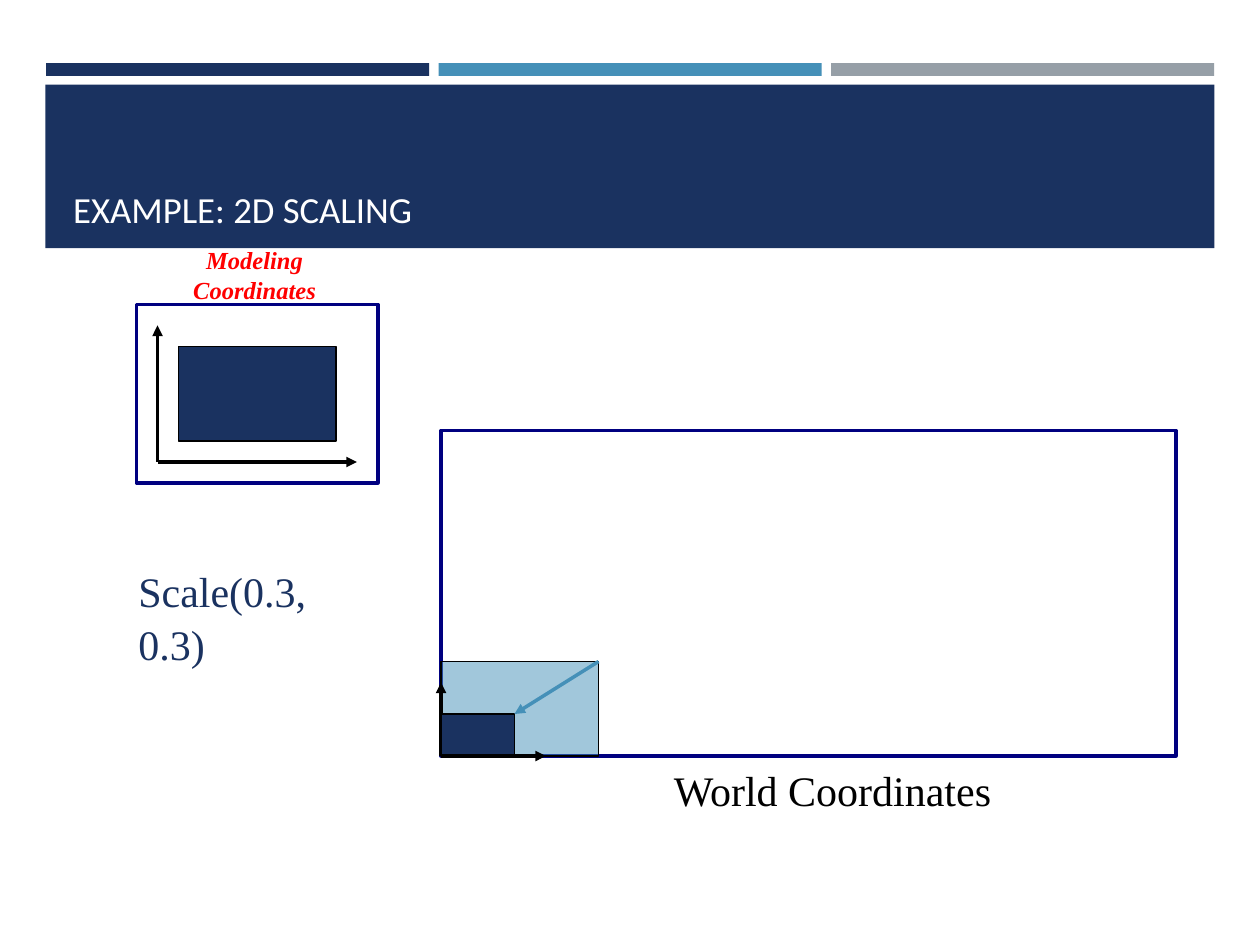
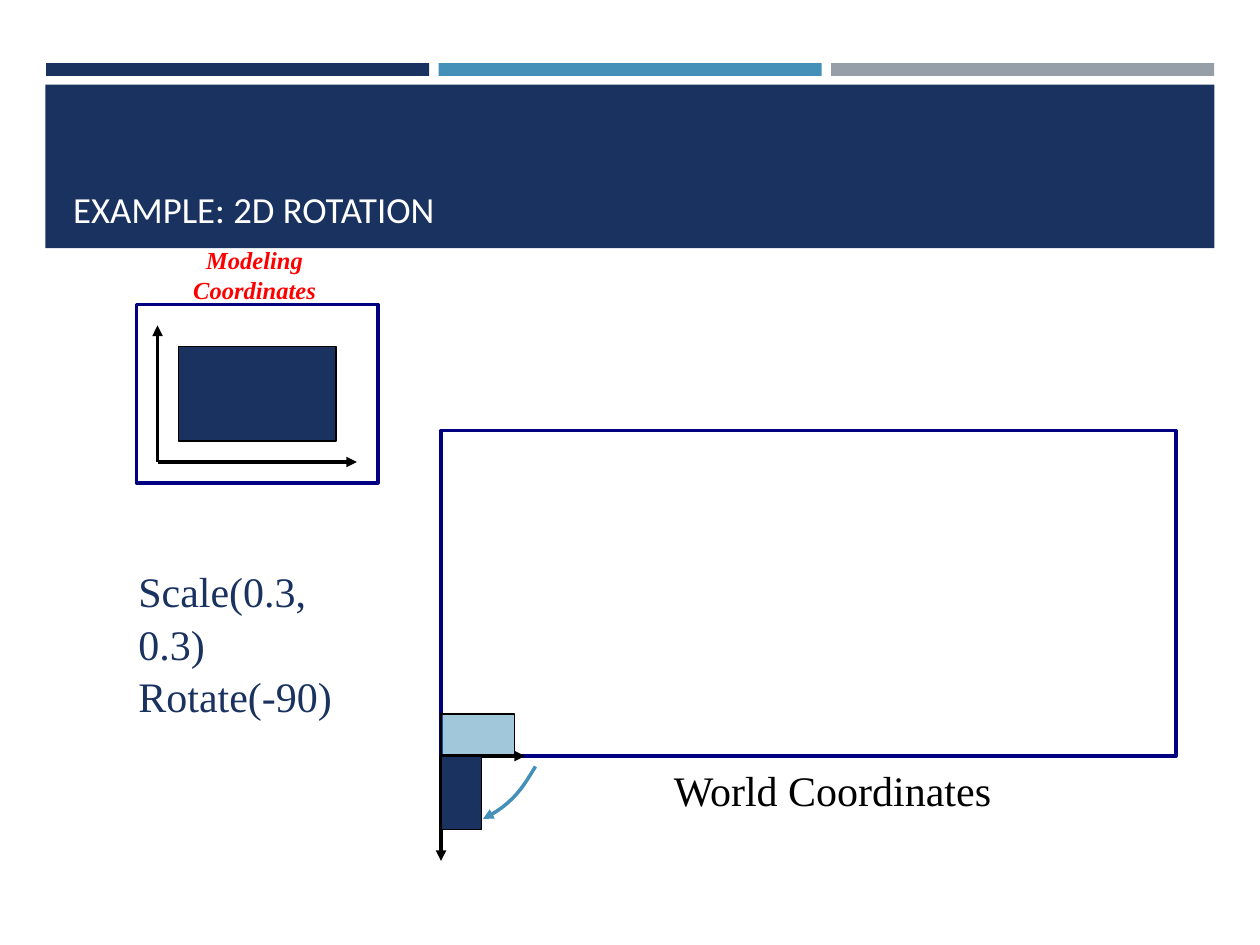
from lxml import etree
from pptx import Presentation
from pptx.dml.color import RGBColor
from pptx.enum.shapes import MSO_CONNECTOR, MSO_SHAPE
from pptx.enum.text import MSO_ANCHOR, MSO_AUTO_SIZE, PP_ALIGN
from pptx.oxml.ns import qn
from pptx.util import Pt

RECT = MSO_SHAPE.RECTANGLE
STRAIGHT = MSO_CONNECTOR.STRAIGHT
LEFT, CENTER = PP_ALIGN.LEFT, PP_ALIGN.CENTER
BOTTOM = MSO_ANCHOR.BOTTOM
NO_FIT = MSO_AUTO_SIZE.NONE

NAVY = RGBColor(0x1A, 0x32, 0x60)
BLUE = RGBColor(0x45, 0x90, 0xB8)
GRAY = RGBColor(0x96, 0x9F, 0xA7)
FRAME = RGBColor(0x00, 0x00, 0x80)
RED = RGBColor(0xFF, 0x00, 0x00)
BLACK = RGBColor(0x00, 0x00, 0x00)
WHITE = RGBColor(0xFF, 0xFF, 0xFF)

SANS, SERIF = "Calibri", "Times New Roman"
THIN, THICK = 0.75, 2
ZERO = (252, 432)
SMALL = (42, 23)


class Deck:
    def __init__(self):
        self.file = Presentation()
        self.file.slide_width, self.file.slide_height = Pt(720), Pt(540)
        self.slide = None

    def start(self, title):
        self.slide = self.file.slides.add_slide(self.file.slide_layouts[5])
        for i, color in enumerate((NAVY, BLUE, GRAY)):
            self.rect(26.4 + i * 224.3, 36, 218.9, 7.4, color)
        self.rect(26, 48.4, 668, 93.4, NAVY)
        head = self.slide.shapes.title
        head.element.getparent().append(head.element)
        head.left, head.top, head.width, head.height = map(Pt, (34.6, 55.4, 651.6, 80))
        frame = head.text_frame
        frame.text = title
        frame.auto_size = NO_FIT
        frame.vertical_anchor = BOTTOM
        self.style(frame, SANS, 21, WHITE, LEFT)

    def style(self, frame, face, size, color, align, strong=False):
        for para in frame.paragraphs:
            para.alignment = align
            for run in para.runs:
                font = run.font
                font.name, font.size = face, Pt(size)
                font.color.rgb = color
                font.bold = font.italic = strong

    def rect(self, x, y, w, h, fill=None, edge=None, width=THIN, alpha=None, turn=0):
        shape = self.slide.shapes.add_shape(RECT, Pt(x), Pt(y), Pt(w), Pt(h))
        shape.shadow.inherit = False
        shape.rotation = turn
        if fill is None:
            shape.fill.background()
        else:
            shape.fill.solid()
            shape.fill.fore_color.rgb = fill
        if alpha:
            tint = shape.element.spPr.find(qn("a:solidFill"))[0]
            etree.SubElement(tint, qn("a:alpha"), val=str(alpha * 1000))
        if edge is None:
            shape.line.fill.background()
        else:
            shape.line.color.rgb = edge
            shape.line.width = Pt(width)

    def tip(self, shape, color):
        shape.line.color.rgb = color
        shape.line.width = Pt(THICK)
        props = shape.element.spPr
        etree.SubElement(props.find(qn("a:ln")), qn("a:tailEnd"), type="triangle")

    def arrow(self, start, end, color=BLACK):
        line = self.slide.shapes.add_connector(STRAIGHT, *map(Pt, start + end))
        self.tip(line, color)
        etree.SubElement(line.element.spPr, qn("a:effectLst"))

    def curve(self, knots, color, steps=12):
        dots = []
        for i in range(steps + 1):
            t = i / steps
            parts = ((1 - t) ** 3, 3 * t * (1 - t) ** 2, 3 * t * t * (1 - t), t ** 3)
            dots.append(tuple(Pt(sum(p * k[axis] for p, k in zip(parts, knots)))
                              for axis in (0, 1)))
        path = self.slide.shapes.build_freeform(*dots[0])
        path.add_line_segments(dots[1:], close=False)
        shape = path.convert_to_shape()
        shape.shadow.inherit = False
        shape.fill.background()
        self.tip(shape, color)

    def text(self, words, x, y, w, h, size=24, color=BLACK, align=LEFT, strong=False):
        box = self.slide.shapes.add_textbox(Pt(x), Pt(y), Pt(w), Pt(h))
        frame = box.text_frame
        frame.word_wrap = False
        frame.text = words
        self.style(frame, SERIF, size, color, align, strong)
        for para in frame.paragraphs:
            para.line_spacing = 1.05

    def scene(self, title, calls):
        self.start(title)
        self.rect(78, 174, 138, 102, edge=FRAME, width=THICK)
        self.rect(252, 246, 420, 186, edge=FRAME, width=THICK)
        self.arrow((90, 264), (204, 264))
        self.arrow((90, 264), (90, 186))
        self.rect(102, 198, 90, 54, NAVY, BLACK)
        self.text("\n".join(calls), 72, 318, 154, 7.2 + 28.8 * len(calls), color=NAVY)
        self.text("World Coordinates", 378, 432, 197, 36)
        self.text("Modeling\nCoordinates", 101.5, 135.4, 88, 41, 14, RED, CENTER, True)


def scaling(deck):
    deck.scene("EXAMPLE: 2D SCALING", ["Scale(0.3, 0.3)"])
    deck.rect(252, 378, 90, 54, BLUE, BLACK, alpha=50)
    deck.arrow(ZERO, (312, 432))
    deck.arrow(ZERO, (252, 390))
    deck.rect(252, 408, *SMALL, NAVY, BLACK)
    deck.arrow((342, 378), (294, 408), BLUE)


def rotation(deck):
    deck.scene("EXAMPLE: 2D ROTATION", ["Scale(0.3, 0.3)", "Rotate(-90)"])
    deck.arrow(ZERO, (252, 492))
    deck.arrow((258, 432), (300, 432))
    deck.rect(242.5, 441.5, *SMALL, NAVY, BLACK, turn=90)
    deck.curve([(306, 438), (299.5, 448.6), (293.8, 459.4), (276, 468)], BLUE)
    deck.rect(252, 408, *SMALL, BLUE, BLACK, alpha=50)


def main():
    deck = Deck()
    scaling(deck)
    rotation(deck)
    deck.file.save("out.pptx")


if __name__ == "__main__":
    main()
